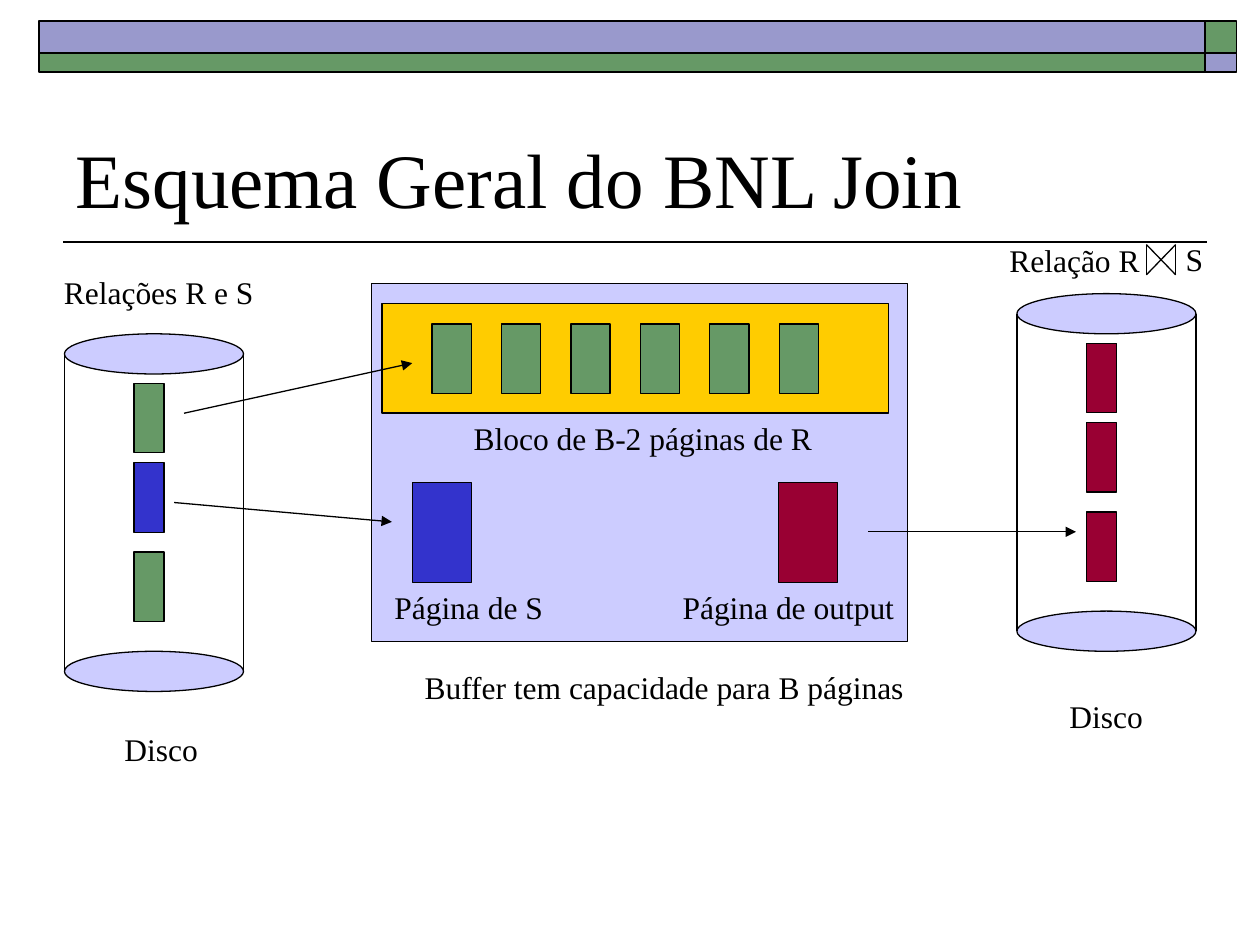
"""Build the slide that outlines the Block Nested Loop join."""
from lxml import etree
from pptx import Presentation
from pptx.dml.color import RGBColor
from pptx.enum import shapes, text
from pptx.oxml.ns import qn
from pptx.util import Cm, Pt

BLACK = RGBColor(0x00, 0x00, 0x00)
GREEN = RGBColor(0x66, 0x99, 0x66)
VIOLET = RGBColor(0x99, 0x99, 0xCC)
LAVENDER = RGBColor(0xCC, 0xCC, 0xFF)
YELLOW = RGBColor(0xFF, 0xCC, 0x00)
BLUE = RGBColor(0x33, 0x33, 0xCC)
RED = RGBColor(0x99, 0x00, 0x33)
FONT = "Times New Roman"
RECTANGLE = shapes.MSO_SHAPE.RECTANGLE
OVAL = shapes.MSO_SHAPE.OVAL

presentation = Presentation()
presentation.slide_width = Cm(25.4)
presentation.slide_height = Cm(19.05)
slide = presentation.slides.add_slide(presentation.slide_layouts[5])


def add_filled(kind, left, top, width, height, color, line_width=0.75):
    shape = slide.shapes.add_shape(kind, Cm(left), Cm(top), Cm(width), Cm(height))
    shape.shadow.inherit = False
    shape.fill.solid()
    shape.fill.fore_color.rgb = color
    shape.line.color.rgb = BLACK
    shape.line.width = Pt(line_width)


def add_line(x1, y1, x2, y2, line_width=0.75, arrow=False):
    connector = slide.shapes.add_connector(
        shapes.MSO_CONNECTOR.STRAIGHT, Cm(x1), Cm(y1), Cm(x2), Cm(y2))
    connector.line.color.rgb = BLACK
    connector.line.width = Pt(line_width)
    properties = connector._element.spPr
    if arrow:
        etree.SubElement(properties.find(qn("a:ln")), qn("a:tailEnd"), type="triangle")
    etree.SubElement(properties, qn("a:effectLst"))


add_line(24.33, 4.88, 1.27, 4.88, 1)
for left, width, upper, lower in [(24.29, 0.64, GREEN, VIOLET), (0.79, 23.5, VIOLET, GREEN)]:
    add_filled(RECTANGLE, left, 0.43, width, 0.64, upper, 1)
    add_filled(RECTANGLE, left, 1.07, width, 0.38, lower, 1)

title = slide.shapes.title
title.left, title.top, title.width, title.height = Cm(1.27), Cm(1.47), Cm(22.86), Cm(3.18)
title.text_frame.text = "Esquema Geral do BNL Join"
title.text_frame.auto_size = text.MSO_AUTO_SIZE.NONE
title.text_frame.vertical_anchor = text.MSO_ANCHOR.BOTTOM
title_paragraph = title.text_frame.paragraphs[0]
title_paragraph.alignment = text.PP_ALIGN.LEFT
title_paragraph.font.name = FONT
title_paragraph.font.size = Pt(44)
title_paragraph.font.color.rgb = BLACK

add_filled(RECTANGLE, 7.49, 5.72, 10.8, 7.21, LAVENDER)
add_filled(RECTANGLE, 7.7, 6.12, 10.21, 2.21, YELLOW)
for index in range(6):
    add_filled(RECTANGLE, 8.71 + 1.4 * index, 6.53, 0.79, 1.4, GREEN)
for left, color in [(8.31, BLUE), (15.7, RED)]:
    add_filled(RECTANGLE, left, 9.73, 1.19, 2.01, color)

disks = [(1.3, 6.73, (GREEN, BLUE, GREEN)), (20.5, 5.92, (RED, RED, RED))]
for left, top, page_colors in disks:
    for end_top in (top, top + 6.4):
        add_filled(OVAL, left, end_top, 3.61, 0.81, LAVENDER)
    for side in (left, left + 3.61):
        add_line(side, top + 0.4, side, top + 6.8)
    for offset, color in zip((1, 2.6, 4.4), page_colors):
        add_filled(RECTANGLE, left + 1.4, top + offset, 0.61, 1.4, color)

add_line(3.71, 8.33, 8.31, 7.32, arrow=True)
add_line(3.51, 10.13, 7.9, 10.52, arrow=True)
add_line(17.5, 10.72, 21.69, 10.72, arrow=True)

for x1, y1, x2, y2 in [(23.11, 4.93, 23.11, 5.54), (23.7, 4.93, 23.7, 5.54),
                       (23.11, 4.93, 23.7, 5.54), (23.11, 5.54, 23.7, 4.93)]:
    add_line(x1, y1, x2, y2)

labels = [
    ("Bloco de B-2 páginas de R", 9.3, 8.33, 7.6),
    ("Buffer tem capacidade para B páginas", 8.31, 13.34, 10.3),
    ("Página de S", 7.7, 11.73, 3.6),
    ("Página de output", 13.51, 11.73, 4.9),
    ("Relações R e S", 1.04, 5.38, 4.5),
    ("Disco", 2.26, 14.6, 2.15),
    ("Disco", 21.31, 13.92, 2.15),
    ("Relação R", 20.1, 4.74, 3.4),
    ("S", 23.65, 4.72, 1),
]
for wording, left, top, width in labels:
    label = slide.shapes.add_textbox(Cm(left), Cm(top), Cm(width), Cm(1.02))
    label.text_frame.text = wording
    label.text_frame.word_wrap = False
    label.text_frame.auto_size = text.MSO_AUTO_SIZE.SHAPE_TO_FIT_TEXT
    font = label.text_frame.paragraphs[0].font
    font.name = FONT
    font.size = Pt(18)
    font.color.rgb = BLACK

presentation.save("out.pptx")
